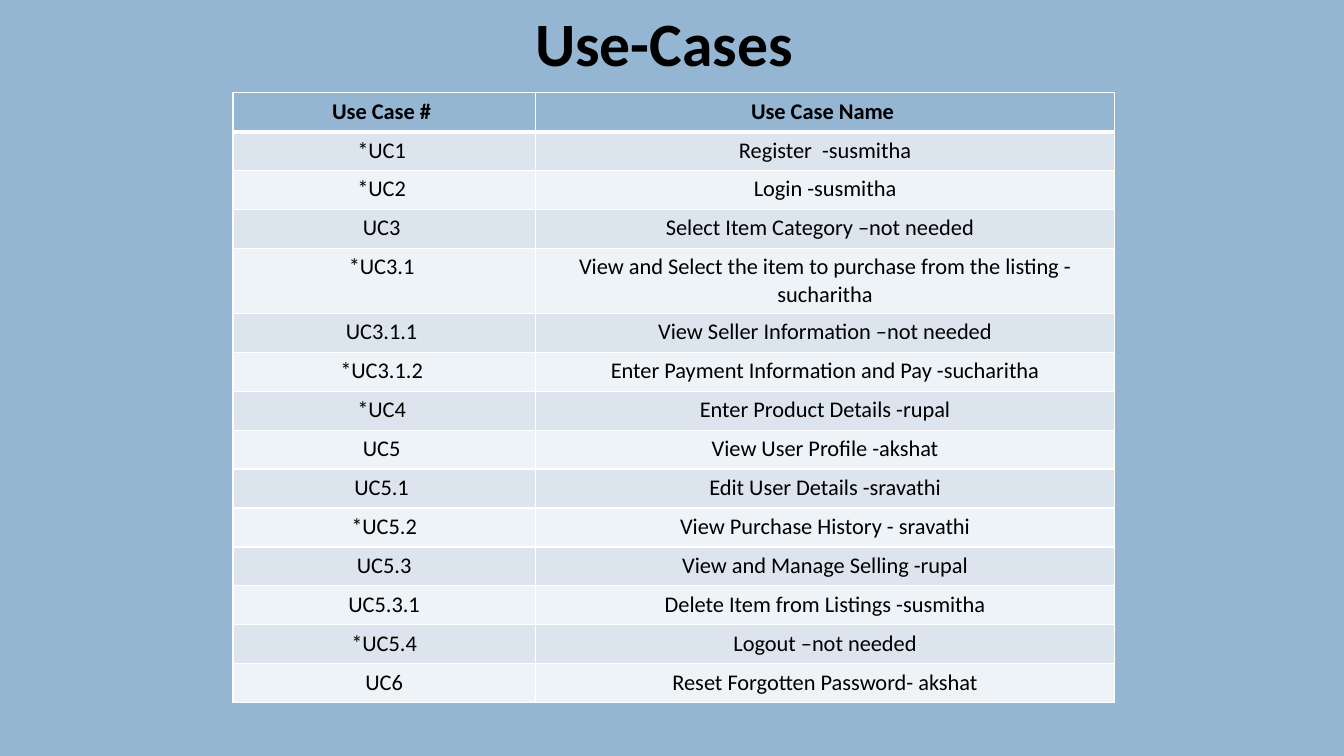
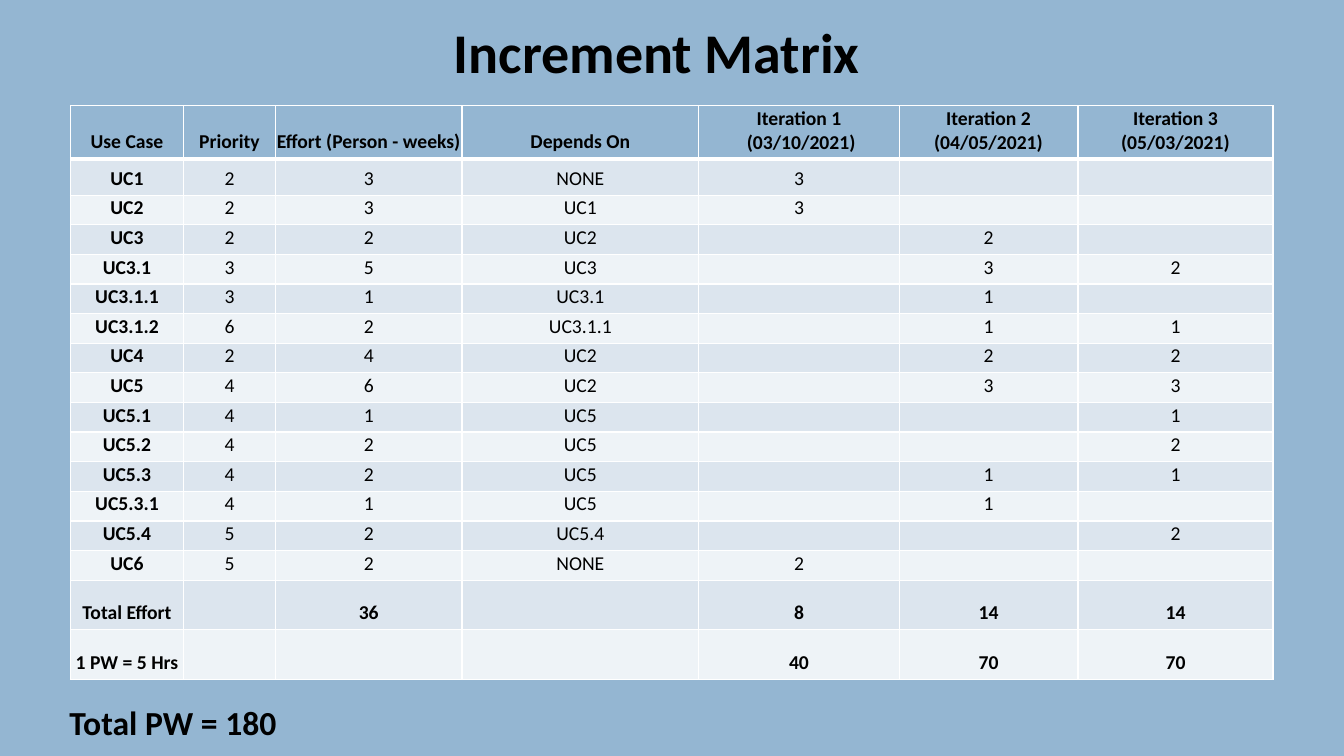
from pptx import Presentation, util as u
from pptx.dml.color import RGBColor
from pptx.enum import text
from pptx.oxml import ns
from lxml import etree

SKY = RGBColor(0x94, 0xB6, 0xD2)
BANDS = RGBColor(0xEE, 0xF3, 0xF7), RGBColor(0xDC, 0xE5, 0xEE)
BLACK = RGBColor(0, 0, 0)
WHITE = RGBColor(0xFF, 0xFF, 0xFF)
FONT = "Calibri"
CENTER, LEFT = text.PP_ALIGN.CENTER, text.PP_ALIGN.LEFT


class Deck:
    """Shared style and the current slide; lengths are percent of the slide."""

    def __init__(self):
        """Start a wide presentation."""
        self.prs = Presentation()
        self.prs.slide_width = u.Inches(13.33)
        self.prs.slide_height = u.Inches(7.5)
        self.slide = None

    def x(self, share):
        """Turn a percentage of the slide width into a length."""
        return u.Emu(round(self.prs.slide_width * share / 100))

    def y(self, share):
        """Turn a percentage of the slide height into a length."""
        return u.Emu(round(self.prs.slide_height * share / 100))

    def new_slide(self):
        """Add a blank slide on the shared background."""
        self.slide = self.prs.slides.add_slide(self.prs.slide_layouts[6])
        self.slide.background.fill.solid()
        self.slide.background.fill.fore_color.rgb = SKY

    def add_lines(self, frame, words, size, bold, align):
        """Add one paragraph per line, each as a single run."""
        for number, line in enumerate(words.split("\n")):
            par = frame.add_paragraph() if number else frame.paragraphs[0]
            par.alignment = align
            if not line:
                end = etree.SubElement(par._p, ns.qn("a:endParaRPr"))
                end.set("sz", str(size * 100))
                continue
            run = par.add_run()
            run.text = line
            run.font.name, run.font.size = FONT, u.Pt(size)
            run.font.bold, run.font.color.rgb = bold, BLACK

    def heading(self, words, left, top, width, height, size, align=LEFT):
        """Place a bold line of text straight on the background."""
        box = self.slide.shapes.add_textbox(
            self.x(left), self.y(top), self.x(width), self.y(height))
        box.text_frame.word_wrap = True
        self.add_lines(box.text_frame, words, size, True, align)

    def borders(self, cell, top, bottom):
        """Draw white cell edges, one point wide at both sides."""
        props = cell._tc.get_or_add_tcPr()
        edges = ("lnL", 1), ("lnR", 1), ("lnT", top), ("lnB", bottom)
        for place, (edge, points) in enumerate(edges):
            line = etree.Element(ns.qn("a:" + edge), w=str(u.Pt(points)))
            fill = etree.SubElement(line, ns.qn("a:solidFill"))
            etree.SubElement(fill, ns.qn("a:srgbClr"), val=str(WHITE))
            props.insert(place, line)

    def table(self, rows, left, top, widths, heights, size,
              is_bold, insets=None, anchor=text.MSO_ANCHOR.TOP):
        """Draw a banded table with a heavy rule below its header."""
        grid = self.slide.shapes.add_table(
            len(rows), len(widths), self.x(left), self.y(top),
            self.x(sum(widths)), self.y(sum(heights))).table
        for column, width in zip(grid.columns, widths):
            column.width = self.x(width)
        for r, (row, height) in enumerate(zip(rows, heights)):
            grid.rows[r].height = self.y(height)
            for c, words in enumerate(row):
                cell = grid.cell(r, c)
                cell.fill.solid()
                cell.fill.fore_color.rgb = BANDS[r % 2] if r else SKY
                cell.vertical_anchor = anchor
                if insets:
                    (cell.margin_left, cell.margin_top, cell.margin_right,
                     cell.margin_bottom) = map(u.Inches, insets)
                self.borders(cell, 3 if r == 1 else 1, 1 if r else 3)
                self.add_lines(cell.text_frame, words, size,
                               is_bold(r, c), CENTER)


USE_CASES = [
    ("Use Case #\u00a0", "Use Case Name\u00a0"),
    ("*UC1\u00a0", "Register\u00a0 -susmitha"),
    ("*UC2\u00a0", "Login -susmitha"),
    ("UC3\u00a0", "Select Item Category –not needed\u00a0\u00a0"),
    ("*UC3.1\u00a0",
     "View and Select the item to purchase from the listing - sucharitha"),
    ("UC3.1.1\u00a0", "View Seller Information –not needed"),
    ("*UC3.1.2\u00a0", "Enter Payment Information and\u00a0Pay -sucharitha"),
    ("*UC4\u00a0", "Enter Product Details -rupal"),
    ("UC5\u00a0", "View\u00a0User Profile -akshat"),
    ("UC5.1\u00a0", "Edit User Details -sravathi"),
    ("*UC5.2", "View Purchase History - sravathi"),
    ("UC5.3", "View and Manage Selling -rupal"),
    ("UC5.3.1", "Delete Item from Listings -susmitha"),
    ("*UC5.4", "Logout –not needed"),
    ("UC6", "Reset\u00a0Forgotten\u00a0Password- akshat"),
]

INCREMENTS = [
    ("Use Case", "Priority", "Effort (Person - weeks)", "Depends On",
     "Iteration 1\n (03/10/2021)", "Iteration 2 (04/05/2021)",
     "Iteration 3 (05/03/2021)"),
    ("UC1", "2", "3", "NONE", "3", "", ""),
    ("UC2", "2", "3", "UC1", "3", "", ""),
    ("UC3", "2", "2", "UC2", "", "2", ""),
    ("UC3.1", "3", "5", "UC3", "", "3", "2"),
    ("UC3.1.1", "3", "1", "UC3.1", "", "1", ""),
    ("UC3.1.2", "6", "2", "UC3.1.1", "", "1", "1"),
    ("UC4", "2", "4", "UC2", "", "2", "2"),
    ("UC5", "4", "6", "UC2", "", "3", "3"),
    ("UC5.1", "4", "1", "UC5", "", "", "1"),
    ("UC5.2", "4", "2", "UC5", "", "", "2"),
    ("UC5.3", "4", "2", "UC5", "", "1", "1"),
    ("UC5.3.1", "4", "1", "UC5", "", "1", ""),
    ("UC5.4", "5", "2", "UC5.4", "", "", "2"),
    ("UC6", "5", "2", "NONE", "2", "", ""),
    ("Total Effort", "", "36", "", "8", "14", "14"),
    ("1 PW = 5 Hrs", "", "", "", "40", "70", "70"),
]
FIRST_TOTAL = len(INCREMENTS) - 2

deck = Deck()

deck.new_slide()
deck.table(USE_CASES, 17.33, 12.27, [22.5, 43.12], [5.15] * len(USE_CASES), 16,
           is_bold=lambda r, c: r == 0)
deck.heading("Use-Cases", 39.08, 0, 26.25, 11.2, 44)

deck.new_slide()
deck.table(INCREMENTS, 5.25, 14, [8.4, 6.85, 13.87, 17.63, 14.9, 13.32, 14.5],
           [6.67, 4.8] + [3.73] * 13 + [6.53, 6.67], 14,
           is_bold=lambda r, c: r == 0 or c == 0 or r >= FIRST_TOTAL,
           insets=(0.01, 0.01, 0.01, 0.05), anchor=text.MSO_ANCHOR.BOTTOM)
deck.heading("Increment Matrix", 31.88, 1.6, 33.98, 14.4, 40, CENTER)
deck.heading("Total PW = 180", 4.43, 92.13, 33.98, 7.87, 24)

deck.prs.save("out.pptx")
